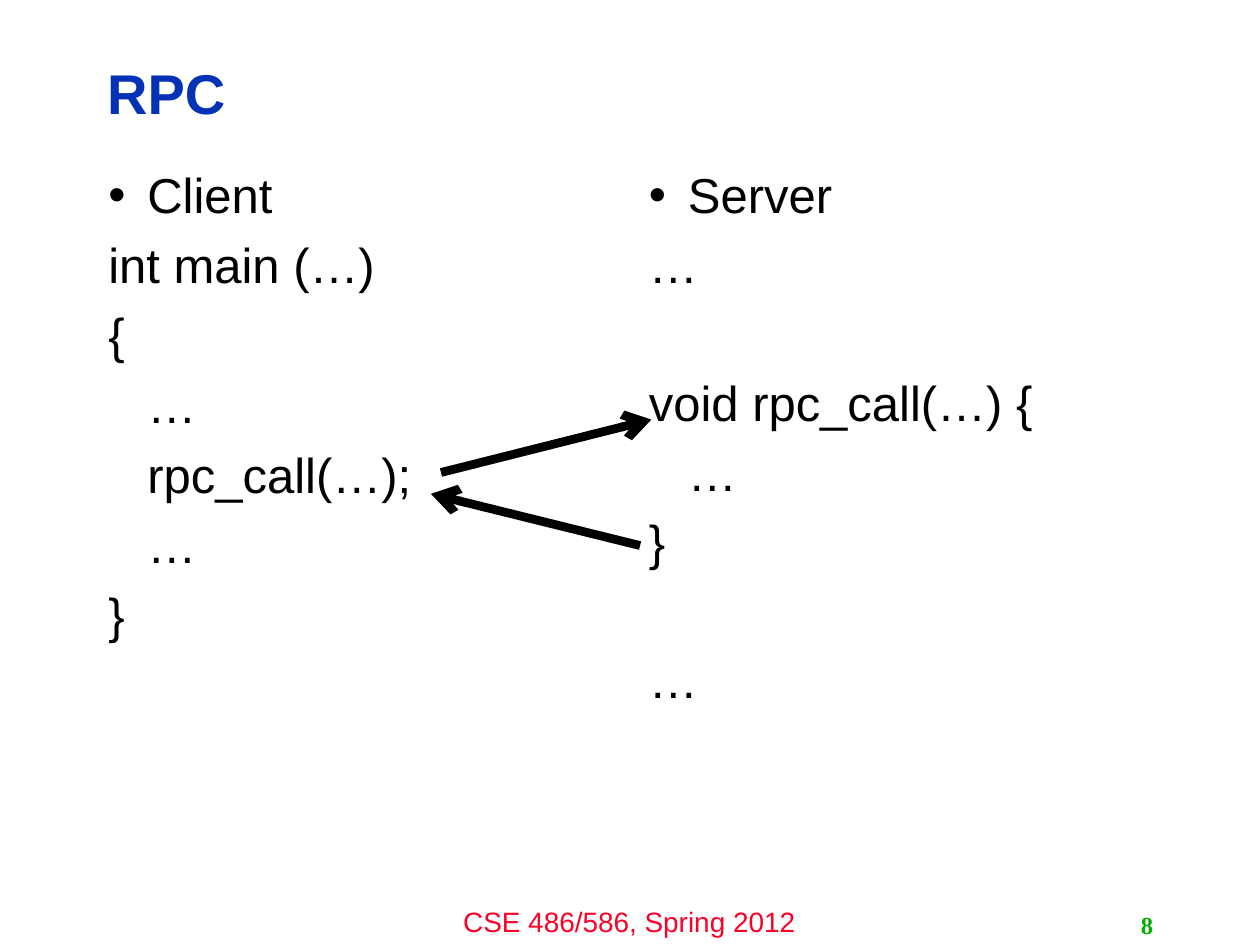
from dataclasses import dataclass

import lxml.etree
import pptx
import pptx.dml.color
import pptx.enum.shapes
import pptx.enum.text
import pptx.oxml.ns
import pptx.slide
import pptx.text.text
import pptx.util

Inches = pptx.util.Inches
Align = pptx.enum.text.PP_ALIGN
Anchor = pptx.enum.text.MSO_ANCHOR
qn = pptx.oxml.ns.qn

COLORS = {"title": "0332B7", "ink": "000000", "footer": "FC0128", "number": "00AE00"}
INDENT = 0.31
LINE_GAP = 9.7  # points between code lines
SKIPPED_LINE = 38.7  # points taken by one empty code line


@dataclass
class Line:
    text: str
    bullet: bool = False
    indented: bool = False
    after_gap: bool = False


@dataclass
class Column:
    left: float
    lines: list[Line]


@dataclass
class Arrow:
    start: tuple[float, float]
    end: tuple[float, float]


COLUMNS = [
    Column(0.76, [
        Line("Client", bullet=True),
        Line("int main (…)"),
        Line("{"),
        Line("…", indented=True),
        Line("rpc_call(…);", indented=True),
        Line("…", indented=True),
        Line("}"),
    ]),
    Column(5.05, [
        Line("Server", bullet=True),
        Line("…"),
        Line("void rpc_call(…) {", after_gap=True),
        Line("…", indented=True),
        Line("}"),
        Line("…", after_gap=True),
    ]),
]
ARROWS = [
    Arrow((3.5, 3.75), (5.17, 3.33)),  # call
    Arrow((5.08, 4.33), (3.42, 3.92)),  # return
]


def place(shape, left: float, top: float, width: float, height: float) -> None:
    shape.left, shape.top = Inches(left), Inches(top)
    shape.width, shape.height = Inches(width), Inches(height)


def set_font(para: pptx.text.text._Paragraph, size: int, color: str,
             name: str = "Arial", bold: bool = False) -> None:
    font = para.font
    font.name, font.size, font.bold = name, pptx.util.Pt(size), bold
    font.color.rgb = pptx.dml.color.RGBColor.from_string(COLORS[color])


def add_title(page: pptx.slide.Slide, text: str) -> None:
    box = page.shapes.title
    place(box, 0.75, 0.36, 7.98, 0.81)
    frame = box.text_frame
    frame.text = text
    frame.auto_size = pptx.enum.text.MSO_AUTO_SIZE.NONE
    frame.vertical_anchor = Anchor.MIDDLE
    para = frame.paragraphs[0]
    para.alignment, para.line_spacing = Align.LEFT, 0.9
    set_font(para, 32, "title", bold=True)


def set_indent(para: pptx.text.text._Paragraph, line: Line) -> None:
    props = para._p.get_or_add_pPr()
    margin = INDENT if line.bullet or line.indented else 0
    props.set("marL", str(Inches(margin)))
    props.set("indent", str(Inches(-INDENT if line.bullet else 0)))
    if line.bullet:
        lxml.etree.SubElement(props, qn("a:buChar")).set("char", "•")
    else:
        lxml.etree.SubElement(props, qn("a:buNone"))


def fill_column(box, column: Column) -> None:
    place(box, column.left, 1.31, 4.12, 5.39)
    frame = box.text_frame
    frame.auto_size = pptx.enum.text.MSO_AUTO_SIZE.NONE
    for index, line in enumerate(column.lines):
        para = frame.add_paragraph() if index else frame.paragraphs[0]
        para.text = line.text
        set_indent(para, line)
        gap = LINE_GAP + (SKIPPED_LINE if line.after_gap else 0)
        para.space_before = pptx.util.Pt(gap if index else 0)
        para.line_spacing = 0.9
        set_font(para, 28, "ink")


def add_label(page: pptx.slide.Slide, text: str, left: float, top: float,
              width: float, height: float, align: Align,
              anchor: Anchor) -> pptx.text.text._Paragraph:
    box = page.shapes.add_textbox(*map(Inches, (left, top, width, height)))
    frame = box.text_frame
    frame.word_wrap = True
    frame.vertical_anchor = anchor
    para = frame.paragraphs[0]
    para.text, para.alignment = text, align
    return para


def add_arrow(page: pptx.slide.Slide, arrow: Arrow) -> None:
    connector = page.shapes.add_connector(
        pptx.enum.shapes.MSO_CONNECTOR.STRAIGHT,
        *map(Inches, arrow.start + arrow.end))
    line = connector.line
    line.width = pptx.util.Pt(5)
    line.color.rgb = pptx.dml.color.RGBColor.from_string(COLORS["ink"])
    lxml.etree.SubElement(line._get_or_add_ln(), qn("a:tailEnd")).set("type", "arrow")
    lxml.etree.SubElement(connector._element.spPr, qn("a:effectLst"))


def main() -> None:
    deck = pptx.Presentation()
    deck.slide_width, deck.slide_height = Inches(10), Inches(7.5)
    page = deck.slides.add_slide(deck.slide_layouts.get_by_name("Two Content"))

    # Title and the two code columns
    add_title(page, "RPC")
    for number, column in enumerate(COLUMNS, start=1):
        fill_column(page.placeholders[number], column)

    # Footer and page number
    footer = add_label(page, "CSE 486/586, Spring 2012", 3.33, 7.13, 3.33, 0.37,
                       Align.CENTER, Anchor.TOP)
    set_font(footer, 16, "footer")
    page_number = add_label(page, "8", 7.17, 7.18, 2.08, 0.32,
                            Align.RIGHT, Anchor.MIDDLE)
    set_font(page_number, 14, "number", "Times New Roman", bold=True)

    # Call and return arrows
    for arrow in ARROWS:
        add_arrow(page, arrow)

    deck.save("out.pptx")


if __name__ == "__main__":
    main()
